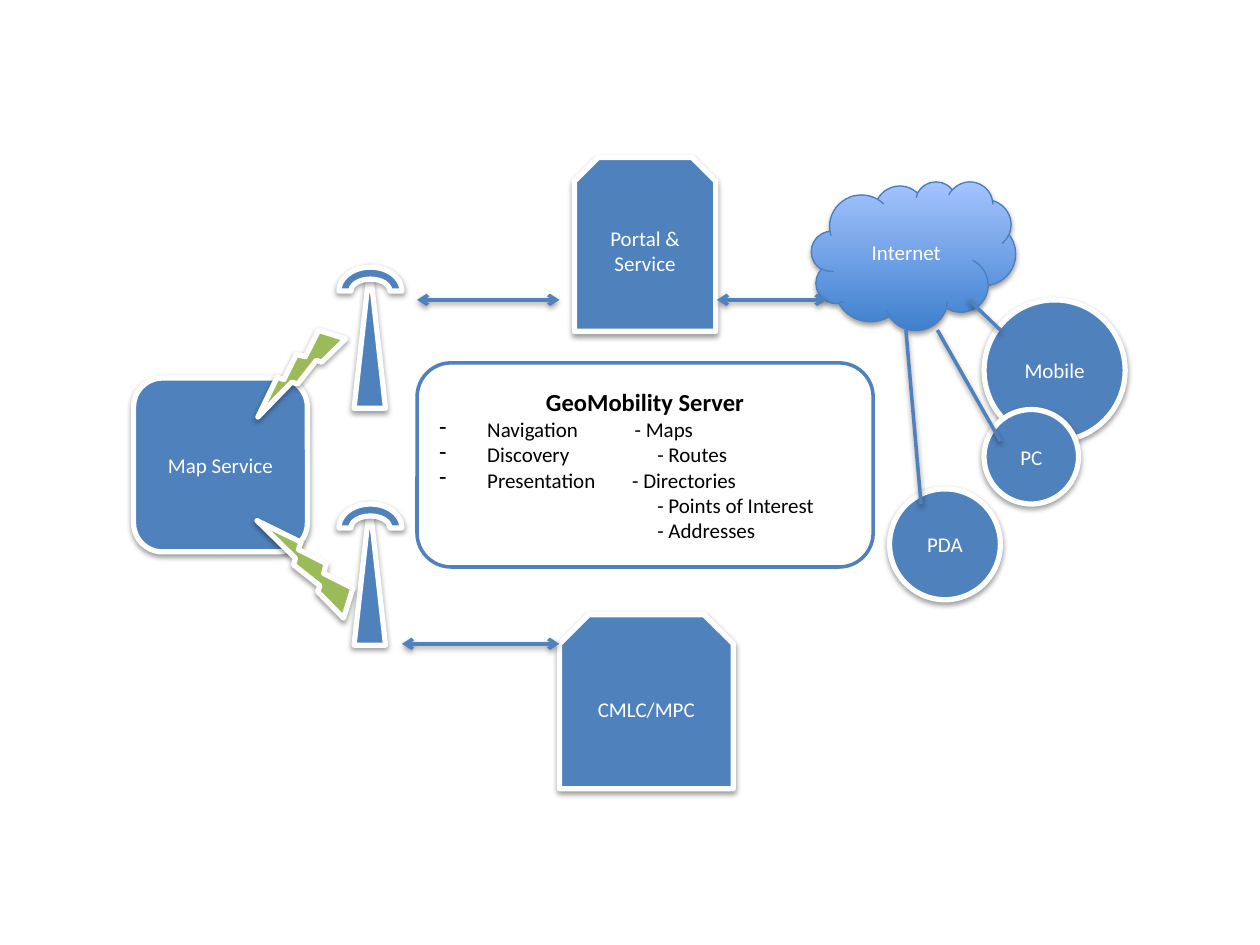
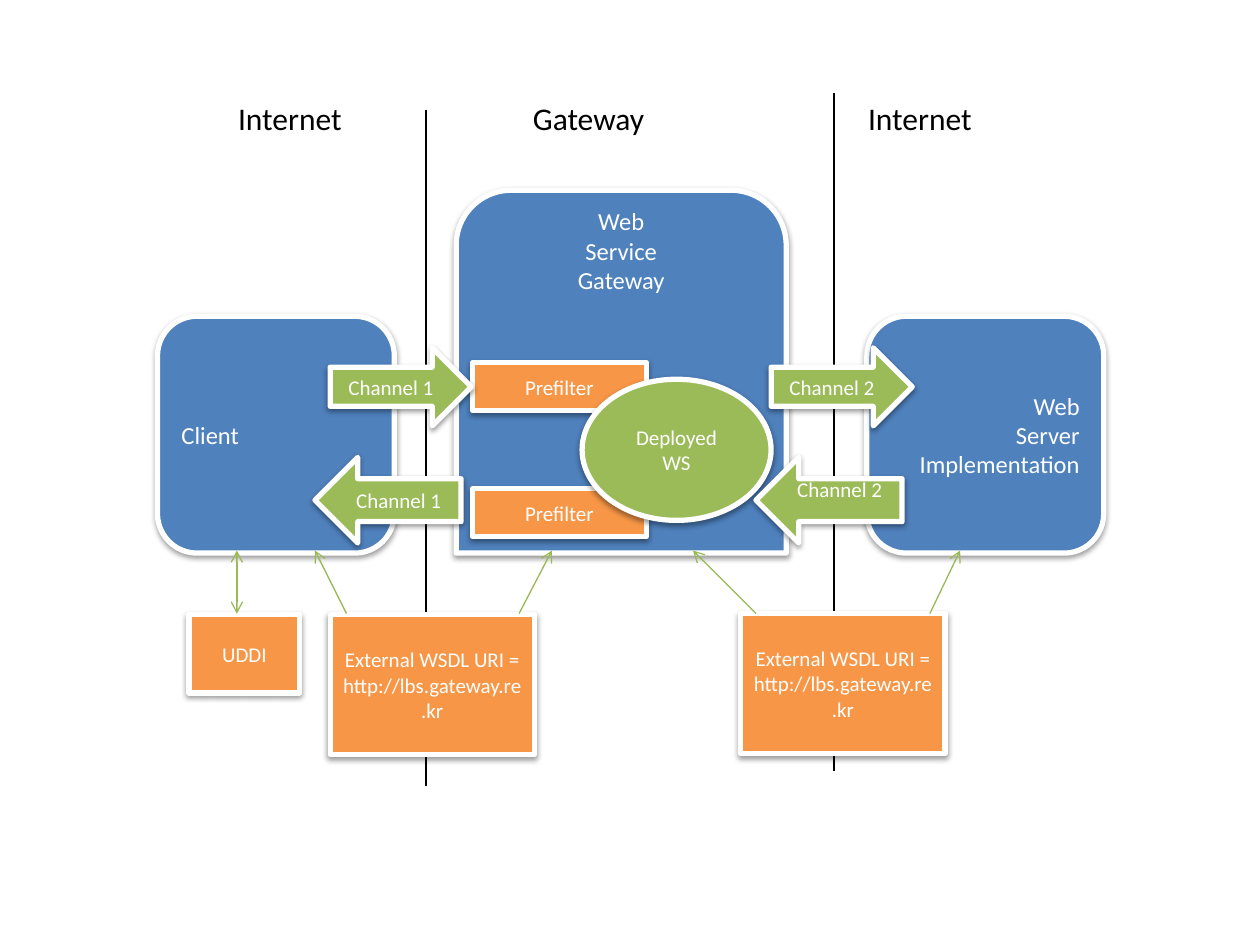
from dataclasses import dataclass
from lxml import etree
from pptx import Presentation
from pptx.dml.color import RGBColor
from pptx.enum.shapes import MSO_CONNECTOR, MSO_SHAPE
from pptx.enum.text import MSO_ANCHOR, PP_ALIGN
from pptx.oxml.ns import qn
from pptx.util import Inches, Pt

BOX, ROUND, OVAL = MSO_SHAPE.RECTANGLE, MSO_SHAPE.ROUNDED_RECTANGLE, MSO_SHAPE.OVAL
SNIP, TOP = MSO_SHAPE.SNIP_2_SAME_RECTANGLE, MSO_SHAPE.ROUND_2_SAME_RECTANGLE
MAST, ARC, BOLT = MSO_SHAPE.ISOSCELES_TRIANGLE, MSO_SHAPE.BLOCK_ARC, MSO_SHAPE.LIGHTNING_BOLT
CLOUD, EAST, WEST = MSO_SHAPE.CLOUD, MSO_SHAPE.RIGHT_ARROW, MSO_SHAPE.LEFT_ARROW
LINE = MSO_CONNECTOR.STRAIGHT
LEFT, MID, RIGHT = PP_ALIGN.LEFT, PP_ALIGN.CENTER, PP_ALIGN.RIGHT
HIGH, CENTRE = MSO_ANCHOR.TOP, MSO_ANCHOR.MIDDLE


@dataclass(frozen=True)
class Theme:
    font: str = "Calibri"
    blue: str = "4F81BD"
    green: str = "9BBB59"
    orange: str = "F79646"
    white: str = "FFFFFF"
    black: str = "000000"
    leaf: str = "98B955"
    rim: str = "4B7EBC"
    deep: str = "3F80CE"
    pale: str = "A4C4FF"
    small: int = 12
    large: int = 14
    head: int = 18
    edge: float = 3
    link: float = 2
    thin: float = 0.75


T = Theme()

TOWERS = [2.12, 4]
BOLTS = [((2.16, 2.48, 0.4, 0.9), 63.4), ((2.24, 3.98, 0.44, 1), 153.4)]
SERVER = "GeoMobility Server"
TASKS = [("Navigation", "- Maps", 1.55), ("Discovery", "- Routes", 1.73),
         ("Presentation", "- Directories", 1.53)]
EXTRAS = ["- Points of Interest", "- Addresses"]
DEVICES = [("Mobile", 7.81, 2.38, 1.12), ("PC", 7.81, 3.25, 0.75),
           ("PDA", 7.06, 3.88, 0.88)]
WIRES = [((7.69, 2.38), (7.94, 2.62)), ((7.44, 2.62), (7.94, 3.5)),
         ((7.19, 2.62), (7.31, 4))]
NODES = [("Portal & Service", (4.56, 1.25, 1.12, 1.38)),
         ("CMLC/MPC", (4.44, 4.88, 1.38, 1.38))]
LINKS = [(3.19, 4.44, 5.11), (3.31, 4.44, 2.38), (5.69, 6.56, 2.38)]

ZONES = ["Internet", "Gateway", "Internet"]
STOPS = [2.34, 5]
BORDERS = [(6.62, 0.74, 6.12), (3.38, 0.87, 6.24)]
URI = "External WSDL URI = http://lbs.gateway.re.kr"
ENDS = [(1.25, ["Client"], LEFT), (6.88, ["Web", "Server", "Implementation"], RIGHT)]
FILTERS = [2.88, 3.88]
CHANNELS = [(EAST, 2.62, 2.76, 1.12, 0.62), (WEST, 2.5, 3.63, 1.16, 0.68)]
GAP = 3.5
CALLS = [(1.88, 1.88, True), (2.75, 2.5, False), (4.12, 4.38, False),
         (6, 5.5, False), (7.38, 7.62, False)]


def rgb(code):
    return RGBColor.from_string(code)


def node(parent, tag, **attrs):
    return etree.SubElement(parent, qn("a:" + tag), {k: str(v) for k, v in attrs.items()})


def write(para, text, size=T.small, color=T.white, bold=False, align=MID):
    para.alignment = align
    run = para.add_run()
    run.text = text
    font = run.font
    font.name, font.size, font.bold = T.font, Pt(size), bold
    font.color.rgb = rgb(color)


def fill_text(frame, lines, **style):
    for i, text in enumerate(lines):
        para = frame.add_paragraph() if i else frame.paragraphs[0]
        write(para, text, **style)


def tabs(para, stops):
    row = node(para._p.get_or_add_pPr(), "tabLst")
    for stop in stops:
        node(row, "tab", pos=Inches(stop), algn="l")


def shade(item, alpha=38, drop=20000):
    item.shadow.inherit = False
    host = item._element.spPr.find(qn("a:effectLst"))
    glow = node(host, "outerShdw", blurRad=40000, dist=drop, dir=5400000, rotWithShape=0)
    node(node(glow, "srgbClr", val=T.black), "alpha", val=alpha * 1000)


def shape(slide, kind, at, lines=(), fill=T.blue, edge=T.white, width=T.edge, **style):
    item = slide.shapes.add_shape(kind, *map(Inches, at))
    item.fill.solid()
    item.fill.fore_color.rgb = rgb(fill)
    item.line.color.rgb = rgb(edge)
    item.line.width = Pt(width)
    shade(item)
    item.text_frame.word_wrap = True
    item.text_frame.vertical_anchor = CENTRE
    fill_text(item.text_frame, lines, **style)
    return item


def join(slide, start, end, color=T.blue, width=T.link, head=False, tail=False, dark=False):
    item = slide.shapes.add_connector(LINE, *map(Inches, start + end))
    item.line.color.rgb = rgb(color)
    item.line.width = Pt(width)
    props = item._element.spPr
    for tag, on in (("headEnd", head), ("tailEnd", tail)):
        if on:
            node(props.find(qn("a:ln")), tag, type="arrow")
    effect = node(props, "effectLst")
    if dark:
        glow = node(effect, "outerShdw", blurRad=40000, dist=20000, dir=5400000, rotWithShape=0)
        node(node(glow, "srgbClr", val=T.black), "alpha", val=38000)


def draw_server(slide):
    item = shape(slide, ROUND, (3.31, 2.88, 3.62, 1.62), fill=T.white, edge=T.blue, width=T.link)
    item.shadow.inherit = False
    for glow in item._element.spPr.find(qn("a:effectLst")):
        glow.getparent().remove(glow)
    frame = item.text_frame
    write(frame.paragraphs[0], SERVER, T.large, T.black, True)
    for task, data, stop in TASKS:
        para = frame.add_paragraph()
        write(para, task + "\t" + data, color=T.black, align=LEFT)
        props = para._p.get_or_add_pPr()
        props.set("marL", str(Inches(0.38)))
        props.set("indent", str(-Inches(0.38)))
        node(props, "buChar", char="-")
        tabs(para, [stop])
    for text in EXTRAS:
        para = frame.add_paragraph()
        write(para, text, color=T.black, align=LEFT)
        para._p.get_or_add_pPr().set("marL", str(Inches(1.73)))


def draw_network(slide):
    shape(slide, ROUND, (1.06, 3, 1.38, 1.38), ["Map Service"])
    for y in TOWERS:
        shape(slide, MAST, (2.81, y, 0.25, 1.12))
        shape(slide, ARC, (2.69, y, 0.5, 0.38))
    for at, turn in BOLTS:
        shape(slide, BOLT, at, fill=T.green).rotation = turn
    draw_server(slide)
    cloud = shape(slide, CLOUD, (6.44, 1.44, 1.62, 1.18), ["Internet"], edge=T.rim, width=T.thin)
    cloud.fill.gradient()
    cloud.fill.gradient_angle = 90
    for stop, color in zip(cloud.fill.gradient_stops, (T.deep, T.pale)):
        stop.color.rgb = rgb(color)
    for name, x, y, size in DEVICES:
        shape(slide, OVAL, (x, y, size, size), [name])
    for start, end in WIRES:
        join(slide, start, end, dark=True)
    for name, at in NODES:
        shape(slide, SNIP, at, [name])
    for left, right, y in LINKS:
        join(slide, (left, y), (right, y), head=True, tail=True, dark=True)


def draw_gateway(slide):
    for x, top, base in BORDERS:
        join(slide, (x, top), (x, base), T.black, T.thin)
    shape(slide, BOX, (1.5, 4.88, 0.88, 0.62), ["UDDI"], T.orange)
    shape(slide, BOX, (2.62, 4.88, 1.62, 1.11), [URI], T.orange)
    for x, lines, align in ENDS:
        shape(slide, ROUND, (x, 2.51, 1.88, 1.88), lines, size=T.large, align=align)
    hub = shape(slide, TOP, (3.62, 1.51, 2.62, 2.88), ["Web", "Service", "Gateway"], size=T.large)
    hub.text_frame.vertical_anchor = HIGH
    hub.text_frame.margin_top = 0
    for y in FILTERS:
        shape(slide, BOX, (3.75, y, 1.38, 0.38), ["Prefilter"], T.orange)
    shape(slide, OVAL, (4.62, 3.01, 1.5, 1.12), ["Deployed", "WS"], T.green)
    for kind, x, y, wide, tall in CHANNELS:
        for i in range(2):
            at = (x + i * GAP, y, wide, tall)
            arrow = shape(slide, kind, at, [f"Channel {i + 1}"], T.green)
    arrow.text_frame.margin_bottom = Inches(0.22)
    shape(slide, BOX, (5.88, 4.87, 1.62, 1.11), [URI], T.orange)
    for low, high, both in CALLS:
        join(slide, (low, 4.87), (high, 4.37), T.leaf, T.thin, head=both, tail=True)
    frame = slide.shapes.add_textbox(*map(Inches, (1.73, 0.74, 7.53, 0.4))).text_frame
    frame.word_wrap = True
    frame.margin_left = Inches(0.16)
    fill_text(frame, ["\t".join(ZONES)], size=T.head, color=T.black, align=LEFT)
    tabs(frame.paragraphs[0], STOPS)


deck = Presentation()
deck.slide_width, deck.slide_height = Inches(10), Inches(7.5)
for draw in (draw_network, draw_gateway):
    draw(deck.slides.add_slide(deck.slide_layouts[6]))
deck.save("out.pptx")
